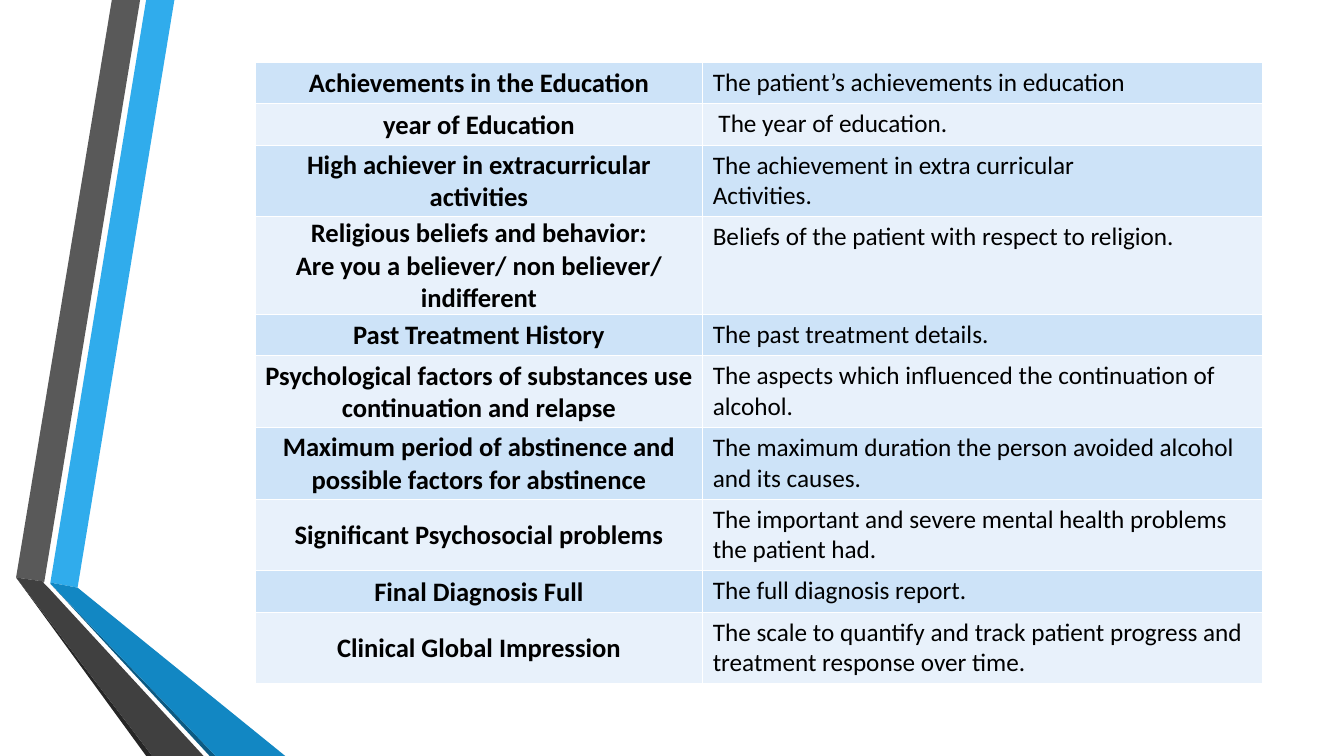
from pptx import Presentation
from pptx import util as u
from pptx.dml.color import RGBColor
from pptx.enum import text

BANDS = [
    ("30ACEC", [(0.5, 5.78), (0.77, 5.83), (1.73, 0), (1.45, 0)]),
    ("595959", [(1.39, 0), (1.11, 0), (0.16, 5.73), (0.44, 5.77)]),
    ("262626", [(0.16, 5.73), (1.45, 7.5), (1.51, 7.5)]),
    ("0C5A82", [(0.5, 5.79), (2.08, 7.5), (2.14, 7.5)]),
    ("1287C3", [(0.5, 5.79), (2.14, 7.5), (2.83, 7.5), (0.77, 5.83), (0.5, 5.78)]),
    ("404040", [(2.02, 7.5), (0.48, 5.83), (0.43, 5.78), (0.44, 5.77),
                (0.16, 5.73), (1.51, 7.5)]),
]

ROWS = [
    (["Achievements in the Education"], ["The patient’s achievements in education"]),
    (["year of Education"], [" The year of education."]),
    (["High achiever in extracurricular activities"],
     ["The achievement in extra curricular", "Activities."]),
    (["Religious beliefs and behavior:", "Are you a believer/ non believer/ indifferent"],
     ["Beliefs of the patient with respect to religion."]),
    (["Past Treatment History"], ["The past treatment details."]),
    (["Psychological factors of substances use continuation and relapse"],
     ["The aspects which influenced the continuation of alcohol."]),
    (["Maximum period of abstinence and possible factors for abstinence"],
     ["The maximum duration the person avoided alcohol and its causes."]),
    (["Significant Psychosocial problems"],
     ["The important and severe mental health problems the patient had."]),
    (["Final Diagnosis Full"], ["The full diagnosis report."]),
    (["Clinical Global Impression"],
     ["The scale to quantify and track patient progress and treatment response over time."]),
]


def paint(fill, color):
    fill.solid()
    fill.fore_color.rgb = RGBColor.from_string(color)


def add_band(slide, color, points):
    first, *rest = [(u.Inches(x), u.Inches(y)) for x, y in points]
    pen = slide.shapes.build_freeform(*first, scale=1.0)
    pen.add_line_segments(rest, close=True)
    band = pen.convert_to_shape()
    paint(band.fill, color)
    band.line.fill.background()
    band.shadow.inherit = False


def add_run(para, words, size, bold):
    run = para.add_run()
    run.text = words
    run.font.name = "Calibri"
    run.font.size = u.Pt(size)
    run.font.bold = bold
    run.font.color.rgb = RGBColor.from_string("000000")


def fill_label(cell, lines):
    cell.vertical_anchor = text.MSO_ANCHOR.MIDDLE
    cell.margin_left = cell.margin_right = cell.margin_top = u.Inches(0.01)
    cell.margin_bottom = 0
    para = cell.text_frame.paragraphs[0]
    para.alignment = text.PP_ALIGN.CENTER
    for i, line in enumerate(lines):
        if i:
            para.add_line_break()
        add_run(para, line, 19, True)


def fill_note(cell, lines):
    frame = cell.text_frame
    for i, line in enumerate(lines):
        para = frame.add_paragraph() if i else frame.paragraphs[0]
        add_run(para, line, 18, False)


def add_grid(slide):
    high = u.Inches(0.41)
    frame = slide.shapes.add_table(len(ROWS), 2, u.Inches(2.53), u.Inches(0.62),
                                   u.Inches(9.99), high * len(ROWS))
    table = frame.table
    table.first_row = table.horz_banding = False
    for col, wide in zip(table.columns, (4.44, 5.55)):
        col.width = u.Inches(wide)
    for i, (label, note) in enumerate(ROWS):
        table.rows[i].height = high
        left, right = table.rows[i].cells
        fill_label(left, label)
        fill_note(right, note)
        for cell in (left, right):
            paint(cell.fill, ("CDE3F8", "E8F1FB")[i % 2])
    frame.height = u.Inches(6.08)


def main():
    deck = Presentation()
    deck.slide_width, deck.slide_height = u.Inches(13.33), u.Inches(7.5)
    slide = deck.slides.add_slide(deck.slide_layouts[6])
    for color, points in BANDS:
        add_band(slide, color, points)
    add_grid(slide)
    deck.save("out.pptx")


if __name__ == "__main__":
    main()
